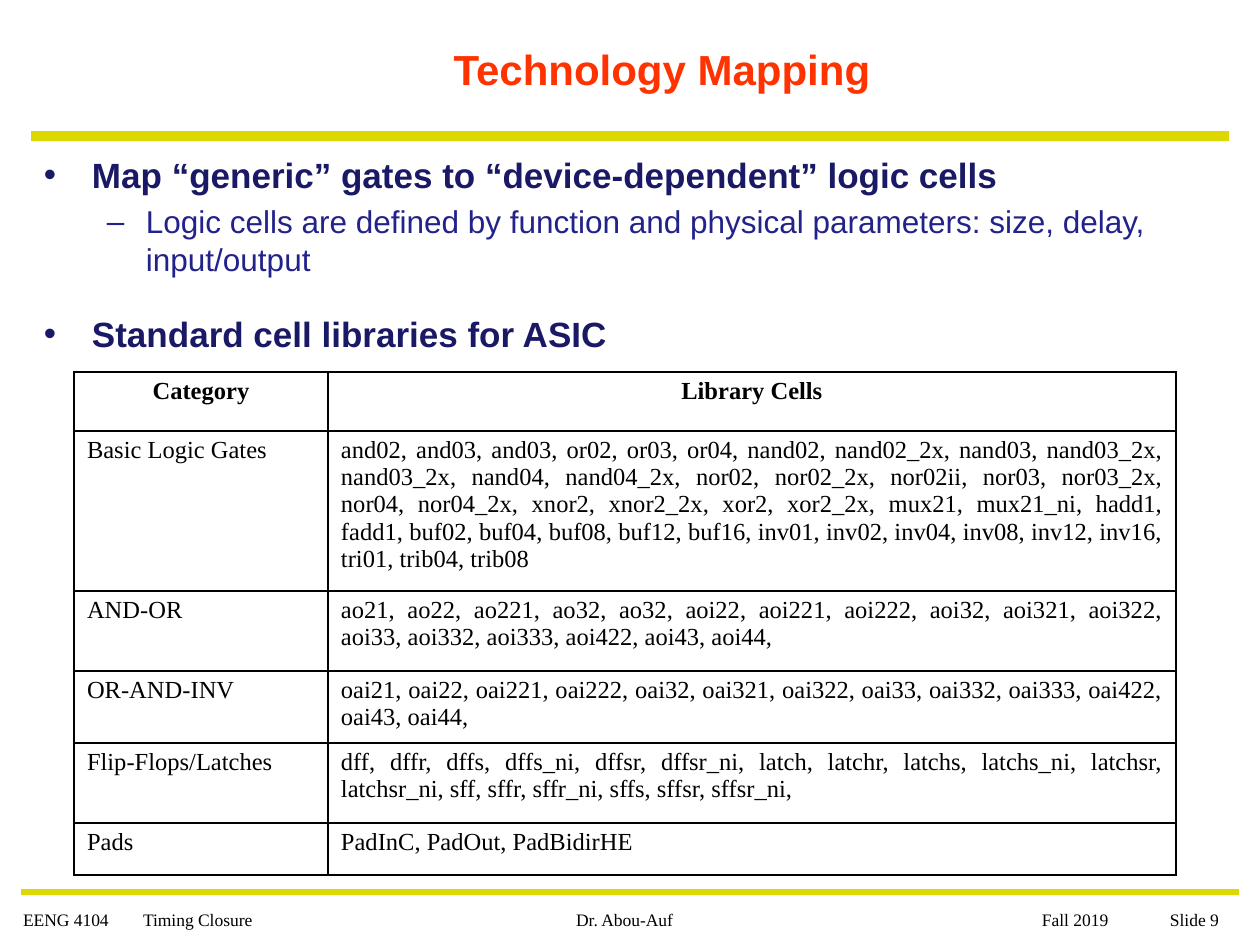
from dataclasses import dataclass
from lxml.etree import SubElement
from pptx import Presentation
from pptx.dml.color import RGBColor as Rgb
from pptx.enum.shapes import MSO_CONNECTOR as Conn
from pptx.enum.text import MSO_ANCHOR as Anchor, PP_ALIGN as Align
from pptx.oxml.ns import qn
from pptx.util import Pt


@dataclass(frozen=True)
class Theme:
    sans: str = "Arial"
    serif: str = "Times New Roman"
    title: str = "FF3300"
    head: str = "191966"
    sub: str = "22228B"
    ink: str = "000000"
    rule: str = "DDD800"
    title_pt: int = 24
    head_pt: int = 20
    sub_pt: int = 18
    cell_pt: int = 14
    foot_pt: int = 10


T = Theme()
PAD_X, PAD_Y = 13, 6

POINTS = [
    (0, "Map “generic” gates to “device-dependent” logic cells"),
    (1, "Logic cells are defined by function and physical parameters: "
        "size, delay, input/output"),
    (0, "Standard cell libraries for ASIC"),
]
COLS = [254, 848]
CELLS = [
    (59, "Category", "Library Cells"),
    (160, "Basic Logic Gates",
     "and02, and03, and03, or02, or03, or04, nand02, nand02_2x, nand03, "
     "nand03_2x, nand03_2x, nand04, nand04_2x, nor02, nor02_2x, nor02ii, "
     "nor03, nor03_2x, nor04, nor04_2x, xnor2, xnor2_2x, xor2, xor2_2x, "
     "mux21, mux21_ni, hadd1, fadd1, buf02, buf04, buf08, buf12, buf16, "
     "inv01, inv02, inv04, inv08, inv12, inv16, tri01, trib04, trib08"),
    (80, "AND-OR",
     "ao21, ao22, ao221, ao32, ao32, aoi22, aoi221, aoi222, aoi32, aoi321, "
     "aoi322, aoi33, aoi332, aoi333, aoi422, aoi43, aoi44,"),
    (72, "OR-AND-INV",
     "oai21, oai22, oai221, oai222, oai32, oai321, oai322, oai33, oai332, "
     "oai333, oai422, oai43, oai44,"),
    (80, "Flip-Flops/Latches",
     "dff, dffr, dffs, dffs_ni, dffsr, dffsr_ni, latch, latchr, latchs, "
     "latchs_ni, latchsr, latchsr_ni, sff, sffr, sffr_ni, sffs, sffsr, "
     "sffsr_ni,"),
    (52, "Pads", "PadInC, PadOut, PadBidirHE"),
]


def px(n):
    return round(n * 914400 / 126)


def add_run(para, text, font, size, color, bold=False):
    run = para.add_run()
    run.text = text
    run.font.name, run.font.size, run.font.bold = font, Pt(size), bold
    run.font.color.rgb = Rgb.from_string(color)


def pad(item, left=PAD_X):
    """Set the insets of a text frame or table cell."""
    item.margin_left, item.margin_right = px(left), px(PAD_X)
    item.margin_top = item.margin_bottom = px(PAD_Y)


def add_frame(slide, box, left=PAD_X):
    frame = slide.shapes.add_textbox(*map(px, box)).text_frame
    frame.word_wrap = True
    pad(frame, left)
    return frame


def add_rule(slide, left, right, y, width):
    line = slide.shapes.add_connector(
        Conn.STRAIGHT, px(left), px(y), px(right), px(y))
    line.line.color.rgb = Rgb.from_string(T.rule)
    line.line.width = Pt(width)
    SubElement(line.element.spPr, qn("a:effectLst"))


def add_title(slide, box, text):
    frame = add_frame(slide, box)
    frame.vertical_anchor = Anchor.MIDDLE
    para = frame.paragraphs[0]
    para.alignment = Align.CENTER
    add_run(para, text, T.sans, T.title_pt, T.title, True)


def add_points(slide, box, points):
    # mark, left edge, hang, space before, size, colour, bold
    levels = [("•", 48, 48, 20, T.head_pt, T.head, True),
              ("–", 102, 39, 3.6, T.sub_pt, T.sub, False)]
    frame = add_frame(slide, box)
    for i, (level, text) in enumerate(points):
        mark, left, hang, gap, size, color, bold = levels[level]
        para = frame.add_paragraph() if i else frame.paragraphs[0]
        para.level = level
        para.space_before = Pt(gap if i else 0)
        props = para._p.get_or_add_pPr()
        props.set("marL", str(px(left)))
        props.set("indent", str(-px(hang)))
        SubElement(props, qn("a:buFont"), typeface=T.sans)
        SubElement(props, qn("a:buChar"), char=mark)
        add_run(para, text, T.sans, size, color, bold)


def add_borders(cell):
    props = cell._tc.get_or_add_tcPr()
    for side in ("lnL", "lnR", "lnT", "lnB"):
        line = SubElement(props, qn("a:" + side), w=str(Pt(1)))
        fill = SubElement(line, qn("a:solidFill"))
        SubElement(fill, qn("a:srgbClr"), val=T.ink)


def add_cells(slide, left, top, cols, rows):
    box = left, top, sum(cols), sum(row[0] for row in rows)
    table = slide.shapes.add_table(
        len(rows), len(cols), *map(px, box)).table
    table.first_row = table.horz_banding = False
    for col, width in zip(table.columns, cols):
        col.width = px(width)
    for r, (height, *texts) in enumerate(rows):
        table.rows[r].height = px(height)
        for c, text in enumerate(texts):
            cell = table.cell(r, c)
            pad(cell)
            add_borders(cell)
            cell.fill.background()
            para = cell.text_frame.paragraphs[0]
            body = Align.JUSTIFY if c else Align.LEFT
            para.alignment = body if r else Align.CENTER
            add_run(para, text, T.serif, T.cell_pt, T.ink, r == 0)


def add_note(slide, box, text, left=PAD_X, tab=0, align=Align.LEFT):
    """Add one footer text, with a tab stop if one is given."""
    para = add_frame(slide, box, left).paragraphs[0]
    para.alignment = align
    if tab:
        stops = SubElement(para._p.get_or_add_pPr(), qn("a:tabLst"))
        SubElement(stops, qn("a:tab"), pos=str(px(tab)), algn="l")
    add_run(para, text, T.serif, T.foot_pt, T.ink)


def add_footer(slide, top, height):
    add_note(slide, (10, top, 420, height),
             "EENG 4104\tTiming Closure", tab=120)
    add_note(slide, (514, top, 221, height), "Dr. Abou-Auf",
             align=Align.CENTER)
    add_note(slide, (1008, top, 242, height), "Fall 2019\tSlide 9",
             left=34, tab=128)


def main():
    deck = Presentation()
    deck.slide_width, deck.slide_height = px(1260), px(945)
    slide = deck.slides.add_slide(deck.slide_layouts[6])
    add_rule(slide, 31, 1229, 136, 6)
    add_rule(slide, 21, 1239, 892, 3)
    add_title(slide, (158, 0, 1008, 137), "Technology Mapping")
    add_points(slide, (31, 148, 1197, 199), POINTS)
    add_cells(slide, 74, 372, COLS, CELLS)
    add_footer(slide, 903, 42)
    deck.save("out.pptx")


if __name__ == "__main__":
    main()
